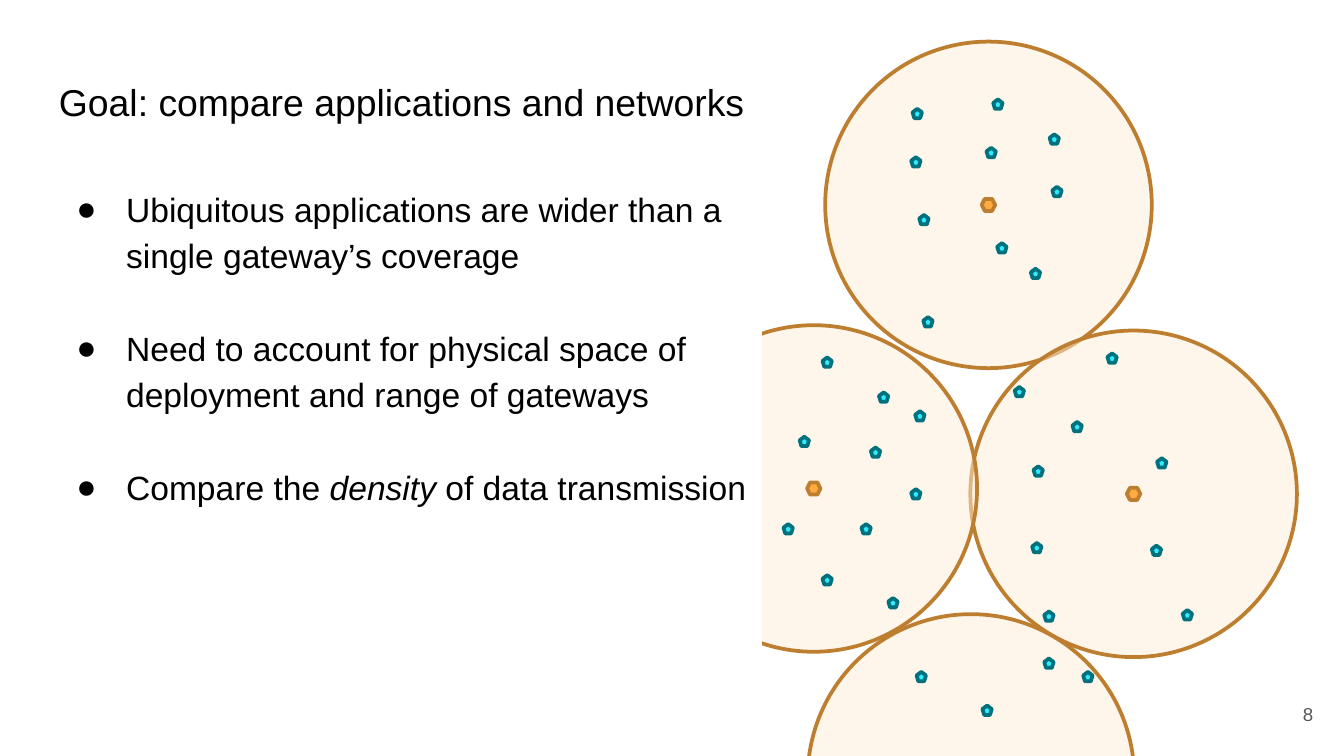
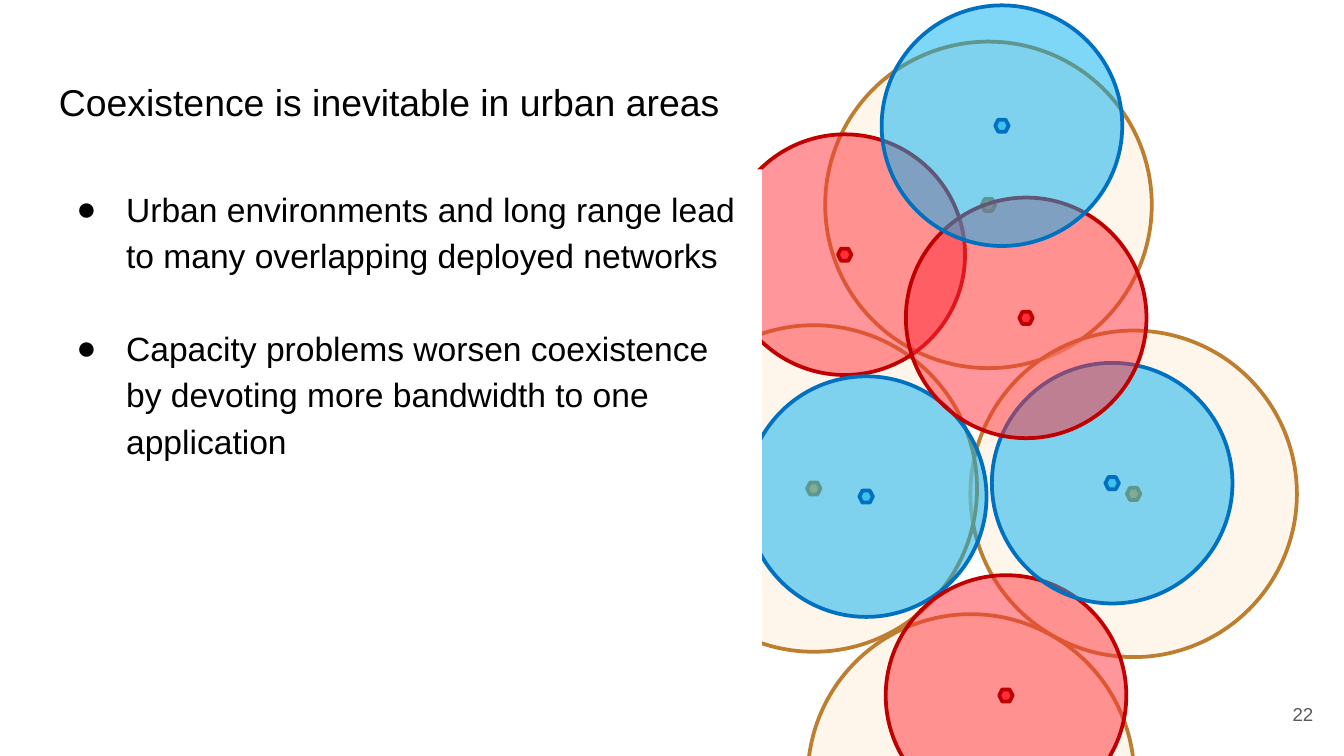
from lxml import etree
from pptx import Presentation
from pptx.dml.color import RGBColor
from pptx.enum.shapes import MSO_SHAPE
from pptx.enum.text import MSO_ANCHOR, PP_ALIGN
from pptx.oxml.ns import qn
from pptx.util import Pt

PX = 9144  # EMU per px, 100 px to the inch
SLIDE_W = 1000
FONT = "Arial"

WHITE = RGBColor(0xFF, 0xFF, 0xFF)
BLACK = RGBColor(0x00, 0x00, 0x00)
GREY = RGBColor(0x59, 0x59, 0x59)
CREAM = RGBColor(0xFF, 0xEE, 0xD9)
ORANGE = RGBColor(0xFF, 0xAB, 0x40)
BROWN = RGBColor(0xBD, 0x7F, 0x2F)
RED = RGBColor(0xFF, 0x2E, 0x38)
DARK_RED = RGBColor(0xC0, 0x00, 0x00)
BLUE = RGBColor(0x00, 0xB0, 0xF0)
DARK_BLUE = RGBColor(0x00, 0x70, 0xC0)
CYAN = RGBColor(0x31, 0xEB, 0xFF)
TEAL = RGBColor(0x00, 0x71, 0x7D)

ELLIPSE, HEXAGON = MSO_SHAPE.OVAL, MSO_SHAPE.HEXAGON
PENTAGON = MSO_SHAPE.REGULAR_PENTAGON
TOP, MIDDLE = MSO_ANCHOR.TOP, MSO_ANCHOR.MIDDLE
LEFT, RIGHT = PP_ALIGN.LEFT, PP_ALIGN.RIGHT

TITLE_BOX = (34, 49, 533, 63)
BODY_BOX = (34, 126, 533, 374)
NUMBER_BOX = (927, 510, 60, 43)
GATEWAY_W, GATEWAY_H = 10, 9
DEVICE_SIZE = 7

# kind: coverage diameter, coverage fill, gateway fill, gateway opacity, line
NETWORKS = {
    "wide": (243, CREAM, ORANGE, 100, BROWN),
    "red": (179, RED, RED, 100, DARK_RED),
    "blue": (179, BLUE, BLUE, 50, DARK_BLUE),
}

# kind, left and top of the coverage circle
WIDE_NETWORKS = [("wide", 614, 31), ("wide", 722, 246),
                 ("wide", 484, 242), ("wide", 601, 457)]
RIVAL_NETWORKS = [("red", 539, 100), ("blue", 555, 280), ("red", 659, 428),
                  ("blue", 738, 270), ("red", 674, 147), ("blue", 656, 4)]

DEVICES = [
    (648, 333), (654, 292), (641, 390), (678, 364), (777, 455), (755, 288),
    (661, 445), (681, 306), (798, 314), (682, 500), (768, 404), (769, 347),
    (857, 406), (861, 341), (806, 500), (777, 490), (824, 263), (880, 454),
    (731, 525), (595, 325), (612, 266), (583, 390), (612, 428), (678, 117),
    (679, 81), (684, 160), (783, 139), (739, 74), (742, 181), (687, 236),
    (781, 100), (767, 200), (734, 110),
]

# each bullet is a list of (text, italic) runs
SLIDES = [
    {
        "title": "Goal: compare applications and networks",
        "bullets": [
            [("Ubiquitous applications are wider than a single gateway’s coverage", False)],
            [("Need to account for physical space of deployment and range of gateways", False)],
            [("Compare the ", False), ("density", True), (" of data transmission", False)],
        ],
        "networks": WIDE_NETWORKS,
        "devices": DEVICES,
        "number": "8",
    },
    {
        "title": "Coexistence is inevitable in urban areas",
        "bullets": [
            [("Urban environments and long range lead to many overlapping deployed networks", False)],
            [("Capacity problems worsen coexistence by devoting more bandwidth to one application", False)],
        ],
        "networks": WIDE_NETWORKS + RIVAL_NETWORKS,
        "devices": [],
        "number": "22",
    },
]


def emu(*lengths):
    return [round(v * PX) for v in lengths]


def add_marker(shapes, kind, box, fill, line, opacity=100):
    sp = shapes.add_shape(kind, *emu(*box))
    sp.shadow.inherit = False
    sp.fill.solid()
    sp.fill.fore_color.rgb = fill
    sp.line.color.rgb = line
    sp.line.width = Pt(2)
    if opacity < 100:
        color = sp._element.spPr.find(qn("a:solidFill"))[0]
        etree.SubElement(color, qn("a:alpha"), val=str(opacity * 1000))


def add_network(s, kind, left, top):
    """Draw a coverage circle, with its gateway where that falls on the slide."""
    size, fill, gateway, opacity, line = NETWORKS[kind]
    shapes = s.shapes.add_group_shape().shapes
    add_marker(shapes, ELLIPSE, (left, top, size, size), fill, line, 50)
    x, y = left + size / 2, top + size / 2
    if y < SLIDE_W * 9 / 16:
        box = (x - GATEWAY_W / 2, y - GATEWAY_H / 2, GATEWAY_W, GATEWAY_H)
        add_marker(shapes, HEXAGON, box, gateway, line, opacity)


def add_bullet(p):
    pPr = p._p.get_or_add_pPr()
    pPr.set("marL", str(50 * PX))
    pPr.set("indent", str(-37 * PX))
    color = etree.SubElement(pPr, qn("a:buClr"))
    etree.SubElement(color, qn("a:srgbClr"), val=str(BLACK))
    etree.SubElement(pPr, qn("a:buFont"), typeface=FONT)
    etree.SubElement(pPr, qn("a:buChar"), char="●")


def add_text(s, box, paragraphs, size, color=BLACK, fill=None,
             anchor=TOP, align=LEFT, bullets=False):
    sp = s.shapes.add_textbox(*emu(*box))
    if fill is not None:
        sp.fill.solid()
        sp.fill.fore_color.rgb = fill
    tf = sp.text_frame
    tf.word_wrap = True
    tf.vertical_anchor = anchor
    tf.margin_left = tf.margin_right = tf.margin_top = tf.margin_bottom = 10 * PX
    for i, runs in enumerate(paragraphs):
        p = tf.add_paragraph() if i else tf.paragraphs[0]
        p.alignment = align
        if bullets:
            p.line_spacing = 1.15
            p.space_before = Pt(24.8 if i else 0)
            add_bullet(p)
        for text, italic in runs:
            r = p.add_run()
            r.text = text
            r.font.name = FONT
            r.font.size = Pt(size)
            r.font.italic = italic
            r.font.color.rgb = color


def build_slide(prs, content):
    s = prs.slides.add_slide(prs.slide_layouts[6])
    for network in content["networks"]:
        add_network(s, *network)
    add_text(s, TITLE_BOX, [[(content["title"], False)]], 20, fill=WHITE)
    add_text(s, BODY_BOX, content["bullets"], 18, fill=WHITE, bullets=True)
    if content["devices"]:
        shapes = s.shapes.add_group_shape().shapes
        for left, top in content["devices"]:
            add_marker(shapes, PENTAGON, (left, top, DEVICE_SIZE, DEVICE_SIZE), CYAN, TEAL)
    add_text(s, NUMBER_BOX, [[(content["number"], False)]], 10, GREY,
             anchor=MIDDLE, align=RIGHT)


def main():
    prs = Presentation()
    prs.slide_width, prs.slide_height = emu(SLIDE_W, SLIDE_W * 9 / 16)
    for content in SLIDES:
        build_slide(prs, content)
    prs.save("out.pptx")


if __name__ == "__main__":
    main()
